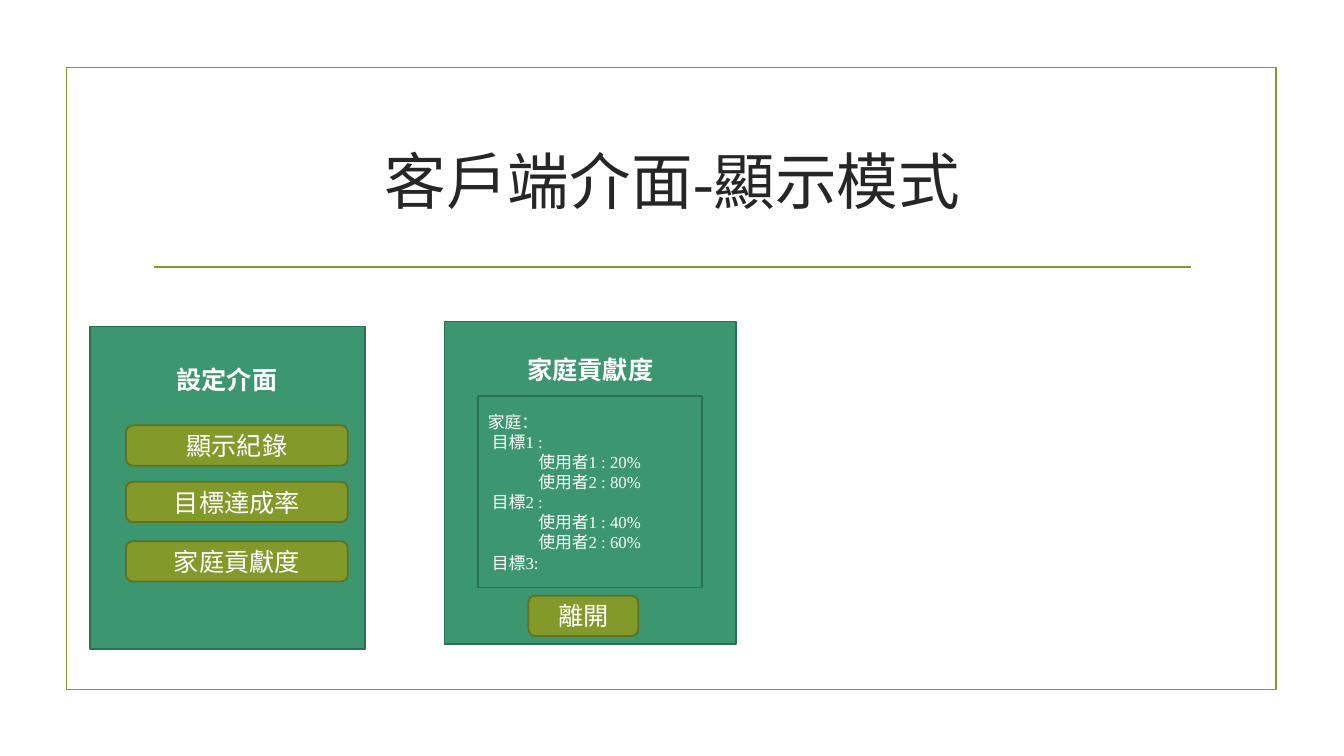
from lxml import etree
from pptx import Presentation
from pptx.dml.color import RGBColor
from pptx.enum.shapes import MSO_CONNECTOR, MSO_SHAPE
from pptx.enum.text import MSO_ANCHOR, MSO_AUTO_SIZE, PP_ALIGN
from pptx.oxml.ns import qn
from pptx.util import Inches, Pt

COLORS = {
    "olive": "83992A", "olive_edge": "61711F",
    "green": "3C9770", "green_edge": "2C7053",
    "title": "262626", "white": "FFFFFF",
}


def rgb(name):
    return RGBColor.from_string(COLORS[name])


def add_box(kind, at, fill, edge, lines=(), size=18, bold=False, align=PP_ALIGN.CENTER):
    """Add a shape; lines holds (text, left indent in inches), and fill or edge may be None."""
    sp = s.shapes.add_shape(kind, *map(Inches, at))
    sp.shadow.inherit = False
    if fill:
        sp.fill.solid()
        sp.fill.fore_color.rgb = rgb(fill)
    else:
        sp.fill.background()
    if edge:
        sp.line.color.rgb = rgb(edge)
        sp.line.width = Pt(1.25)
    else:
        sp.line.fill.background()
    tf = sp.text_frame
    tf.word_wrap = True
    tf.vertical_anchor = MSO_ANCHOR.MIDDLE
    for i, (text, indent) in enumerate(lines):
        p = tf.paragraphs[0] if i == 0 else tf.add_paragraph()
        p.alignment = align
        if indent:
            p._p.get_or_add_pPr().set("marL", str(Inches(indent)))
        r = p.add_run()
        r.text = text
        for name, value in {"name": "Times New Roman", "size": Pt(size), "bold": bold}.items():
            setattr(r.font, name, value)
        r.font.color.rgb = rgb("white")
    return sp


prs = Presentation()
prs.slide_width, prs.slide_height = Inches(13.33), Inches(7.5)
s = prs.slides.add_slide(prs.slide_layouts[5])

# Frame and rule
add_box(MSO_SHAPE.RECTANGLE, (0.66, 0.67, 12, 6.17), None, "olive")
rule = s.shapes.add_connector(
    MSO_CONNECTOR.STRAIGHT, Inches(1.53), Inches(2.65), Inches(11.81), Inches(2.65))
rule.line.color.rgb = rgb("olive")
rule.line.width = Pt(1.25)
etree.SubElement(rule._element.spPr, qn("a:effectLst"))

# Title
title = s.shapes.title
title.left, title.top, title.width, title.height = map(Inches, (1.42, 1.07, 10.5, 1.43))
tf = title.text_frame
tf.auto_size = MSO_AUTO_SIZE.NONE
tf.vertical_anchor = MSO_ANCHOR.MIDDLE
p = tf.paragraphs[0]
p.alignment = PP_ALIGN.CENTER
r = p.add_run()
r.text = "客戶端介面-顯示模式"
r.font.name = "Times New Roman"
r.font.size = Pt(44)
r.font.color.rgb = rgb("title")

# Panels with their headings
for heading, panel_at, heading_at in [
    ("設定介面", (0.89, 3.24, 2.73, 3.2), (1.32, 3.56, 1.86, 0.4)),
    ("家庭貢獻度", (4.41, 3.19, 2.89, 3.2), (4.84, 3.47, 2.03, 0.4)),
]:
    add_box(MSO_SHAPE.RECTANGLE, panel_at, "green", "green_edge")
    add_box(MSO_SHAPE.RECTANGLE, heading_at, None, None, [(heading, 0)], bold=True)

# Buttons
for label, left, top, width in [
    ("離開", 5.24, 5.91, 1.09),
    ("顯示紀錄", 1.25, 4.22, 2.2),
    ("目標達成率", 1.25, 4.78, 2.2),
    ("家庭貢獻度", 1.25, 5.37, 2.2),
]:
    add_box(MSO_SHAPE.ROUNDED_RECTANGLE, (left, top, width, 0.4),
            "olive", "olive_edge", [(label, 0)])

# Family contribution list
GOAL, USER = 0.04, 0.5
contributions = [
    ("家庭：", 0),
    ("目標1 :", GOAL), ("使用者1 : 20%", USER), ("使用者2 : 80%", USER),
    ("目標2 :", GOAL), ("使用者1 : 40%", USER), ("使用者2 : 60%", USER),
    ("目標3:", GOAL),
]
add_box(MSO_SHAPE.RECTANGLE, (4.74, 3.93, 2.22, 1.9), "green", "green_edge",
        contributions, size=12, align=PP_ALIGN.LEFT)

prs.save("out.pptx")
